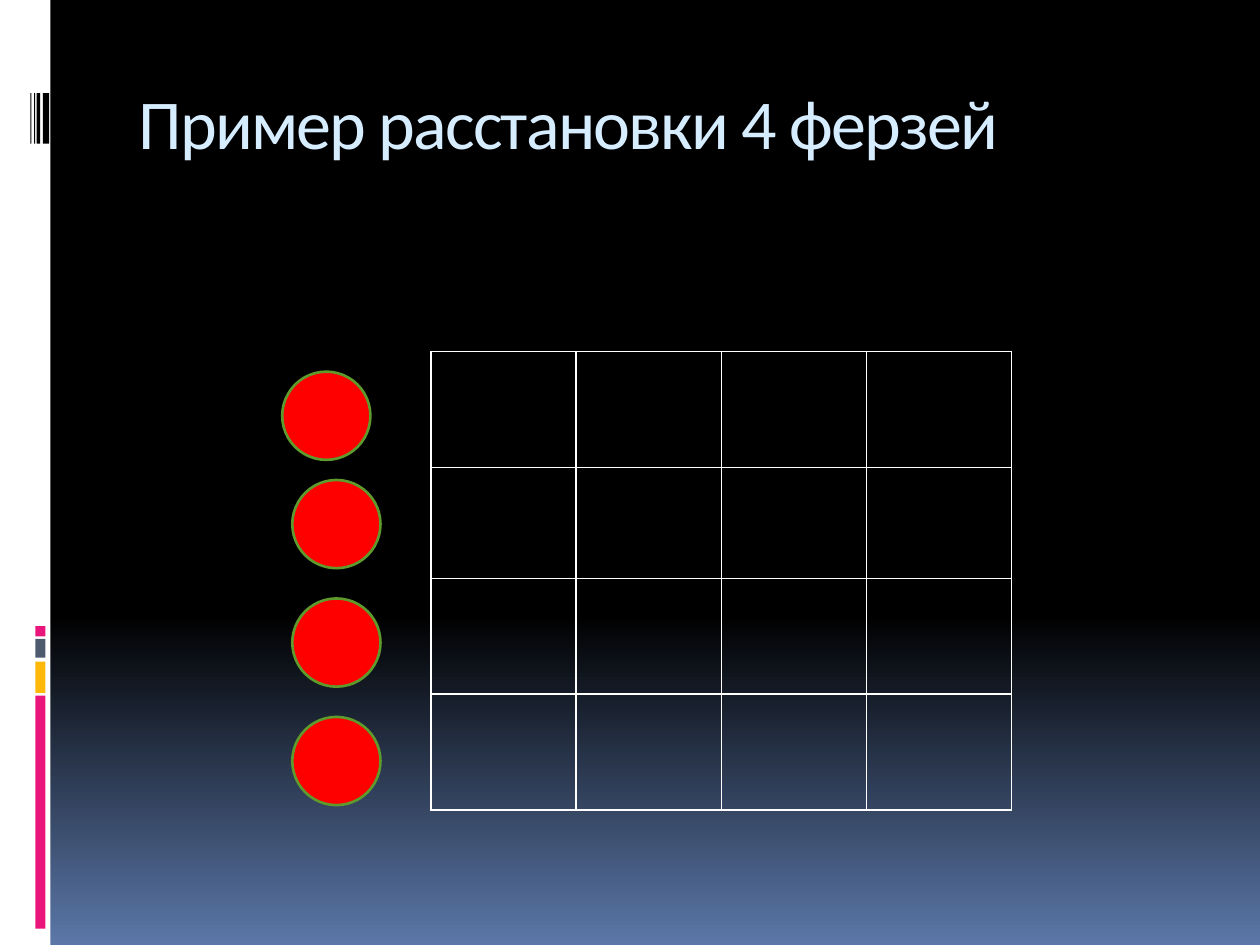
from collections import namedtuple

from copy import deepcopy
from lxml import etree
from pptx import Presentation
from pptx import util as u
from pptx.dml.color import RGBColor
from pptx.enum import shapes, text
from pptx.oxml import ns

WHITE = RGBColor(0xFF, 0xFF, 0xFF)
BLACK = RGBColor(0x00, 0x00, 0x00)
PINK = RGBColor(0xEA, 0x15, 0x7A)
AMBER = RGBColor(0xFE, 0xB8, 0x0A)
SLATE = RGBColor(0x4E, 0x5B, 0x6F)
DUSK = RGBColor(0x5B, 0x77, 0xA8)
ICE = RGBColor(0xD6, 0xEC, 0xFF)
RED = RGBColor(0xFF, 0x00, 0x00)
GREEN = RGBColor(0x5E, 0x9B, 0x2C)

COLUMNS, ROWS = 100, 75
CELL = u.Inches(0.1)
SIDE = 4

Box = namedtuple("Box", "left top width height")


def grid(*lengths):
    return [round(length * CELL) for length in lengths]


def add_figure(page, kind, box, fill, line=None):
    figure = page.shapes.add_shape(kind, *grid(*box))
    figure.shadow.inherit = False
    figure.fill.solid()
    figure.fill.fore_color.rgb = fill
    if line is None:
        figure.line.fill.background()
    else:
        figure.line.color.rgb = line
        figure.line.width = u.Pt(1.5)
    return figure


def paint_background(page):
    fill = page.background.fill
    fill.gradient()
    fill.gradient_angle = 270
    stop_list = page.element.find(".//" + ns.qn("a:gsLst"))
    stop_list.append(deepcopy(stop_list[-1]))
    colors = [(0, BLACK), (0.65, BLACK), (1, DUSK)]
    for stop, (position, color) in zip(fill.gradient_stops, colors):
        stop.position = position
        stop.color.rgb = color


def draw_side_strip(page, box):
    rectangle = shapes.MSO_SHAPE.RECTANGLE
    add_figure(page, rectangle, box, WHITE)
    blocks = [(55.2, 18.5, PINK), (52.5, 2.5, AMBER),
              (50.7, 1.5, SLATE), (49.7, 0.8, PINK)]
    for top, height, color in blocks:
        place = Box(box.left + 2.8, box.top + top, 0.8, height)
        add_figure(page, rectangle, place, color)
    for offset, width in [(3.4, 0.5), (2.9, 0.3), (2.7, 0.1), (2.4, 0.1)]:
        place = Box(box.left + offset, box.top + 7.4, width, 4)
        add_figure(page, rectangle, place, BLACK)


def write_title(page, box):
    frame = page.shapes.add_textbox(*grid(*box)).text_frame
    frame.word_wrap = True
    frame.vertical_anchor = text.MSO_ANCHOR.TOP
    frame.margin_top = u.Inches(0.07)
    frame.text = "Пример расстановки 4 ферзей"
    span = frame.paragraphs[0].runs[0]
    span.font.name = "Calibri"
    span.font.size = u.Pt(40)
    span.font.color.rgb = ICE
    span.font._element.set("spc", "-100")


def outline_cell(cell, color):
    properties = cell._tc.get_or_add_tcPr()
    for index, edge in enumerate(("a:lnL", "a:lnR", "a:lnT", "a:lnB")):
        line = etree.Element(ns.qn(edge), w=str(u.Pt(1)))
        fill = etree.SubElement(line, ns.qn("a:solidFill"))
        etree.SubElement(fill, ns.qn("a:srgbClr"), val=str(color))
        properties.insert(index, line)


def draw_board(page, box):
    table = page.shapes.add_table(SIDE, SIDE, *grid(*box)).table
    table.first_row = False
    table.horz_banding = False
    for column in table.columns:
        column.width = grid(box.width / SIDE)[0]
    for row, height in zip(table.rows, (9.2, 8.8, 9.2, 9.2)):
        row.height = grid(height)[0]
    for cell in table.iter_cells():
        cell.fill.background()
        outline_cell(cell, WHITE)


def draw_queens(page, box):
    size = 7
    pitch = 9.4
    bottom = box.top + box.height - size
    for step in range(SIDE - 1, 0, -1):
        place = Box(box.left + box.width - size, bottom - (step - 1) * pitch, size, size)
        add_figure(page, shapes.MSO_SHAPE.OVAL, place, RED, GREEN)
    first = Box(box.left, box.top, size, size)
    add_figure(page, shapes.MSO_SHAPE.OVAL, first, RED, GREEN)


def main():
    deck = Presentation()
    deck.slide_width, deck.slide_height = grid(COLUMNS, ROWS)
    page = deck.slides.add_slide(deck.slide_layouts[6])
    paint_background(page)
    draw_side_strip(page, Box(0, 0, 4, ROWS))
    write_title(page, Box(10, 5.6, 85, 10))
    draw_board(page, Box(34.2, 27.9, 46.1, 36.3))
    draw_queens(page, Box(22.4, 29.5, 7.8, 34.4))
    deck.save("out.pptx")


if __name__ == "__main__":
    main()
